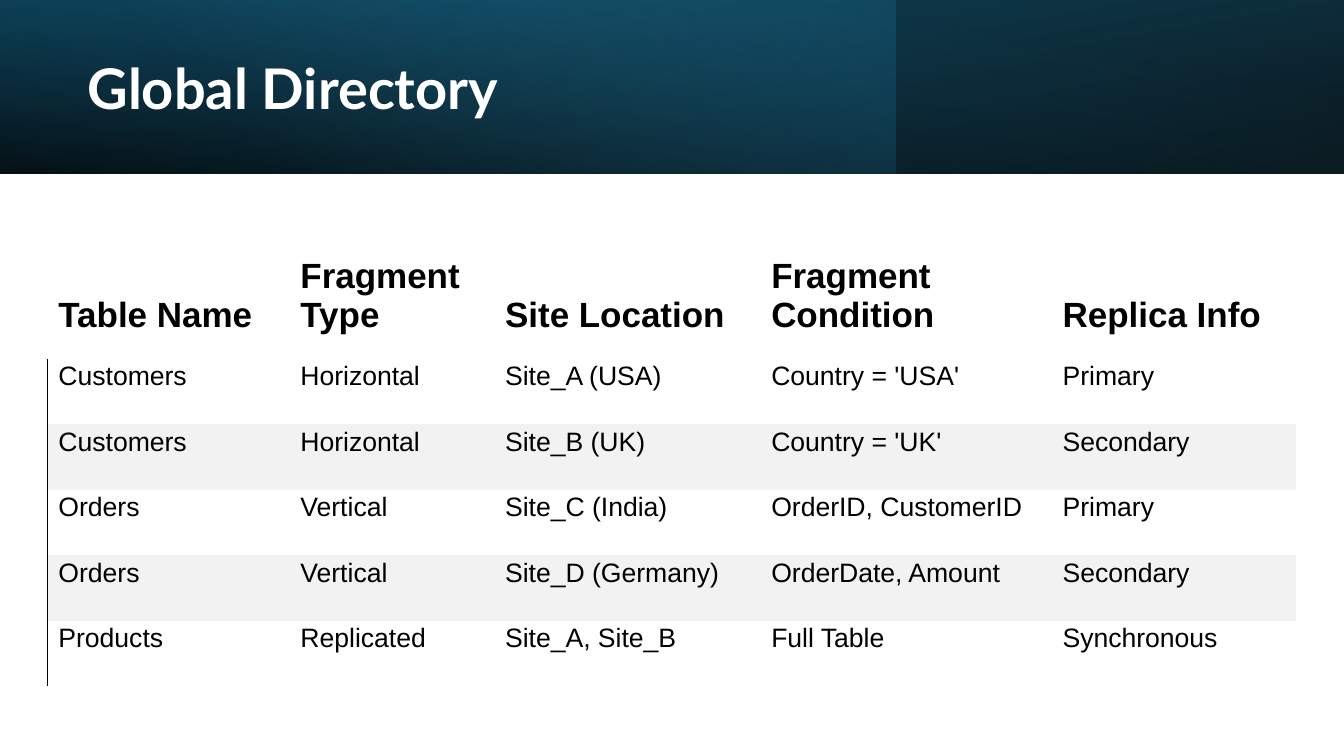
from lxml.etree import SubElement
from pptx import Presentation
from pptx.dml.color import RGBColor
from pptx.enum.shapes import MSO_SHAPE
from pptx.enum.text import MSO_ANCHOR
from pptx.oxml import parse_xml
from pptx.oxml.ns import nsdecls, qn
from pptx.util import Inches, Pt

BLACK = RGBColor(0x00, 0x00, 0x00)
WHITE = RGBColor(0xFF, 0xFF, 0xFF)
BAND = RGBColor(0xF2, 0xF2, 0xF2)
NAVY = RGBColor(0x10, 0x48, 0x62)
TEAL = RGBColor(0x15, 0x60, 0x82)
SKY = RGBColor(0x46, 0xB1, 0xE1)

TITLE = "Global Directory"
DIRECTORY = [
    ("Table Name", "Fragment Type", "Site Location", "Fragment Condition", "Replica Info"),
    ("Customers", "Horizontal", "Site_A (USA)", "Country = 'USA'", "Primary"),
    ("Customers", "Horizontal", "Site_B (UK)", "Country = 'UK'", "Secondary"),
    ("Orders", "Vertical", "Site_C (India)", "OrderID, CustomerID", "Primary"),
    ("Orders", "Vertical", "Site_D (Germany)", "OrderDate, Amount", "Secondary"),
    ("Products", "Replicated", "Site_A, Site_B", "Full Table", "Synchronous"),
]
COLUMN_WIDTHS = [2.4, 2.03, 2.64, 2.89, 2.42]
ROW_HEIGHTS = [1.17] + [0.65] * (len(DIRECTORY) - 1)
SLIDE_WIDTH, SLIDE_HEIGHT = 13.33, 7.5
BANNER_HEIGHT = SLIDE_HEIGHT * 0.23

BANNER_LAYERS = [
    dict(share=1, rotation=180, flip=True, angle=100,
         stops=[(0, BLACK, 96), (100, NAVY, 100)]),
    dict(share=2 / 3, rotation=0, flip=False, angle=140,
         stops=[(0, TEAL, 41), (74, SKY, 0)]),
    dict(share=1, rotation=0, flip=True, angle=260,
         stops=[(0, BLACK, 63), (78, TEAL, 15)]),
]

TITLE_FONT = {"name": "Lato", "size": Pt(40), "bold": True}
HEADING_FONT = {"name": "Arial", "size": Pt(25), "bold": True}
ENTRY_FONT = {"name": "Arial", "size": Pt(19), "bold": False}
CELL_FORMAT = {"margin_left": Inches(0.11), "margin_top": Inches(0.03),
               "margin_right": Inches(0.11), "margin_bottom": Inches(0.24)}
PLAIN_TABLE = "{2D5ABB26-0587-4C30-8999-92F81FD0307C}"


def apply(target, values):
    for key, value in values.items():
        setattr(target, key, value)


def write(paragraph, text, font, color):
    run = paragraph.add_run()
    run.text = text
    apply(run.font, font)
    run.font.color.rgb = color


def add_layer(slide, share, rotation, flip, angle, stops):
    layer = slide.shapes.add_shape(MSO_SHAPE.RECTANGLE, 0, 0,
                                   Inches(SLIDE_WIDTH * share), Inches(BANNER_HEIGHT))
    layer.shadow.inherit = False
    layer.line.fill.background()
    layer.rotation = rotation
    properties = layer._element.spPr
    if flip:
        properties.find(qn("a:xfrm")).set("flipH", "1")
    layer.fill.gradient()
    gradient = properties.find(qn("a:gradFill"))
    stop_list = gradient.find(qn("a:gsLst"))
    stop_list.clear()
    for position, color, opacity in stops:
        stop = SubElement(stop_list, qn("a:gs"), pos=str(position * 1000))
        shade = SubElement(stop, qn("a:srgbClr"), val=str(color))
        SubElement(shade, qn("a:alpha"), val=str(opacity * 1000))
    direction = gradient.find(qn("a:lin"))
    direction.set("ang", str(angle * 60000))
    direction.set("scaled", "0")


def add_title(slide):
    frame = slide.shapes.add_textbox(Inches(0.77), Inches(0.27),
                                     Inches(7.72), Inches(1.27)).text_frame
    apply(frame, {"word_wrap": True, "vertical_anchor": MSO_ANCHOR.MIDDLE})
    frame.paragraphs[0].line_spacing = 0.9
    write(frame.paragraphs[0], TITLE, TITLE_FONT, WHITE)


def add_left_border(cell):
    cell._tc.get_or_add_tcPr().insert(0, parse_xml(
        f'<a:lnL {nsdecls("a")} w="{Pt(0.75)}"><a:solidFill>'
        f'<a:srgbClr val="{BLACK}"/></a:solidFill></a:lnL>'))


def add_directory(slide):
    frame = slide.shapes.add_table(len(DIRECTORY), len(COLUMN_WIDTHS),
                                   Inches(0.47), Inches(2.39),
                                   Inches(sum(COLUMN_WIDTHS)), Inches(sum(ROW_HEIGHTS)))
    directory = frame.table
    apply(directory, {"first_row": False, "horz_banding": False})
    directory._tbl.tblPr.find(qn("a:tableStyleId")).text = PLAIN_TABLE
    for column, width in zip(directory.columns, COLUMN_WIDTHS):
        column.width = Inches(width)
    for row, height in zip(directory.rows, ROW_HEIGHTS):
        row.height = Inches(height)
    for r, entries in enumerate(DIRECTORY):
        heading = r == 0
        for c, entry in enumerate(entries):
            cell = directory.cell(r, c)
            apply(cell, CELL_FORMAT)
            cell.vertical_anchor = MSO_ANCHOR.BOTTOM if heading else MSO_ANCHOR.TOP
            if r and r % 2 == 0:
                cell.fill.solid()
                cell.fill.fore_color.rgb = BAND
            else:
                cell.fill.background()
            if c == 0 and not heading:
                add_left_border(cell)
            write(cell.text_frame.paragraphs[0], entry,
                  HEADING_FONT if heading else ENTRY_FONT, BLACK)


def main():
    deck = Presentation()
    apply(deck, {"slide_width": Inches(SLIDE_WIDTH), "slide_height": Inches(SLIDE_HEIGHT)})
    slide = deck.slides.add_slide(deck.slide_layouts[6])
    for layer in BANNER_LAYERS:
        add_layer(slide, **layer)
    add_title(slide)
    add_directory(slide)
    deck.save("out.pptx")


if __name__ == "__main__":
    main()
